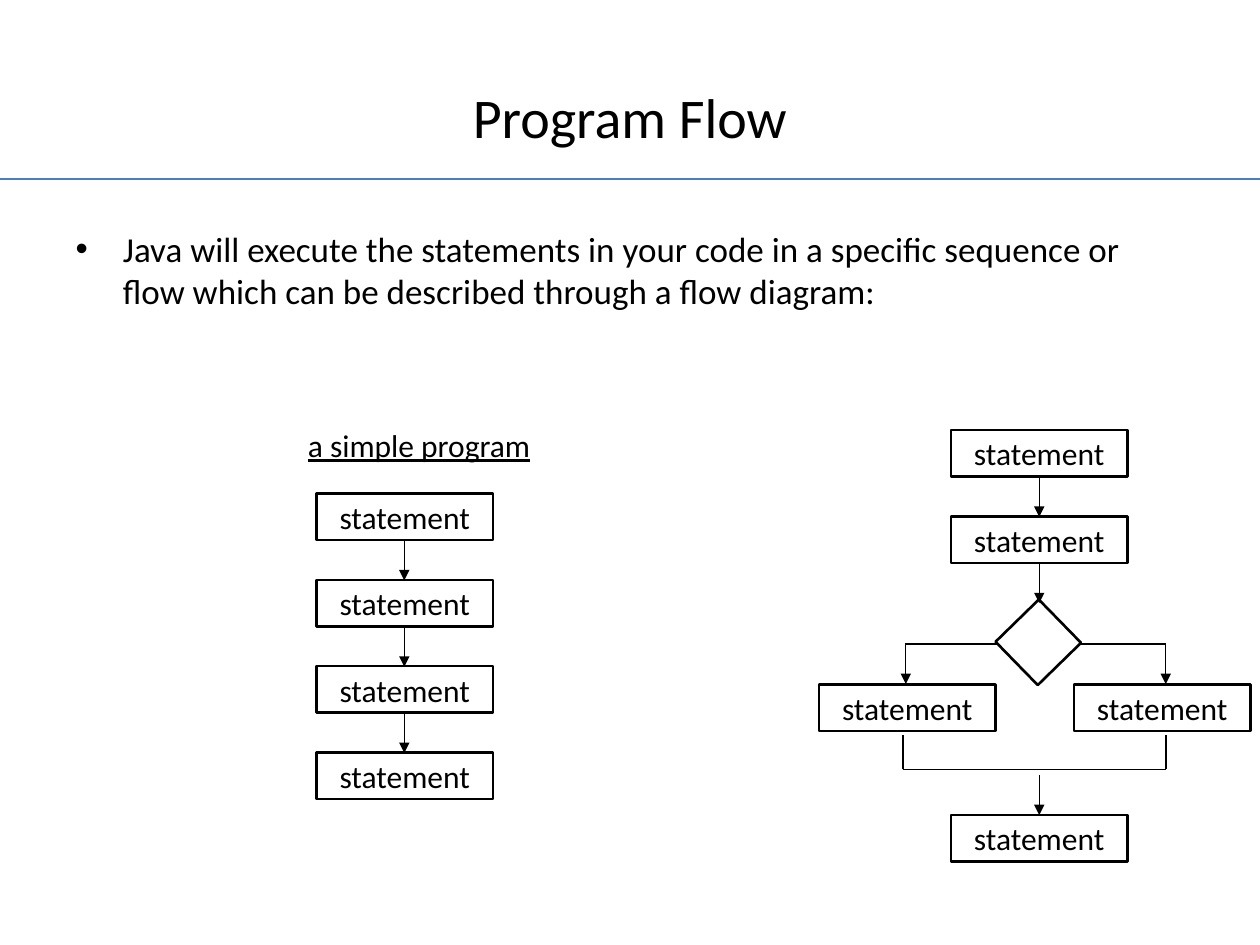
"""Build the Program Flow slide with a linear and a branching flow diagram."""
from typing import NamedTuple

from pptx import Presentation, util as u
from pptx.dml import color
from pptx.enum import shapes, text
from pptx.oxml import ns, xmlchemy

COLORS = {"ink": "000000", "paper": "FFFFFF", "rule": "4B7EBC"}
FONT = "Calibri"
BOX_WIDTH, BOX_HEIGHT = 3.56, 0.94
ARROW_LENGTH = 0.81
STEP = 1.74


class Box(NamedTuple):
    left: float
    top: float


class Line(NamedTuple):
    x1: float
    y1: float
    x2: float
    y2: float
    width: float = 1
    color: str = "ink"
    arrow: bool = False


def down_arrow(x: float, y: float) -> Line:
    return Line(x, y, x, y + ARROW_LENGTH, 0.75, arrow=True)


def rgb(name: str) -> color.RGBColor:
    return color.RGBColor.from_string(COLORS[name])


def place(shape, left: float, top: float, width: float, height: float) -> None:
    shape.left, shape.top = u.Cm(left), u.Cm(top)
    shape.width, shape.height = u.Cm(width), u.Cm(height)


def add_text(paragraph, words: str, size: float, underline: bool = False) -> None:
    run = paragraph.add_run()
    run.text = words
    run.font.name, run.font.size = FONT, u.Pt(size)
    run.font.color.rgb = rgb("ink")
    if underline:
        run.font.underline = True


def draw_line(slide, line: Line) -> None:
    connector = slide.shapes.add_connector(
        shapes.MSO_CONNECTOR.STRAIGHT,
        u.Cm(line.x1), u.Cm(line.y1), u.Cm(line.x2), u.Cm(line.y2))
    connector.line.width = u.Pt(line.width)
    connector.line.color.rgb = rgb(line.color)
    properties = connector._element.spPr
    if line.arrow:
        head = xmlchemy.OxmlElement("a:tailEnd")
        head.set("type", "triangle")
        properties.find(ns.qn("a:ln")).append(head)
    properties.append(xmlchemy.OxmlElement("a:effectLst"))


def draw_shape(slide, left: float, top: float, width: float, height: float):
    shape = slide.shapes.add_shape(
        shapes.MSO_SHAPE.RECTANGLE,
        u.Cm(left), u.Cm(top), u.Cm(width), u.Cm(height))
    shape.shadow.inherit = False
    shape.line.color.rgb = rgb("ink")
    shape.line.width = u.Pt(1.5)
    return shape


def draw_box(slide, box: Box) -> None:
    shape = draw_shape(slide, box.left, box.top, BOX_WIDTH, BOX_HEIGHT)
    shape.fill.background()
    frame = shape.text_frame
    frame.word_wrap = False
    frame.vertical_anchor = text.MSO_ANCHOR.MIDDLE
    frame.paragraphs[0].alignment = text.PP_ALIGN.CENTER
    add_text(frame.paragraphs[0], "statement", 18)


def draw_decision(slide) -> None:
    diamond = draw_shape(slide, 20.32, 12.34, 1.22, 1.22)
    diamond.rotation = 45.7
    diamond.fill.solid()
    diamond.fill.fore_color.rgb = rgb("paper")


def draw_label(slide) -> None:
    label = slide.shapes.add_textbox(u.Cm(4.83), u.Cm(8.46), u.Cm(7.24), u.Cm(1.02))
    label.text_frame.word_wrap = True
    paragraph = label.text_frame.paragraphs[0]
    paragraph.alignment = text.PP_ALIGN.CENTER
    add_text(paragraph, "a simple program", 18, underline=True)


def main() -> None:
    presentation = Presentation()
    presentation.slide_width, presentation.slide_height = u.Cm(25.4), u.Cm(19.05)
    slide = presentation.slides.add_slide(presentation.slide_layouts[1])
    draw_line(slide, Line(0, 3.61, 25.4, 3.61, 0.75, "rule"))

    title, body = slide.shapes.title, slide.placeholders[1]
    place(title, 1.27, 0.76, 22.86, 3.18)
    add_text(title.text_frame.paragraphs[0], "Program Flow", 32)
    place(body, 1.27, 4.45, 22.86, 12.57)
    add_text(body.text_frame.paragraphs[0],
             "Java will execute the statements in your code in a specific sequence "
             "or flow which can be described through a flow diagram:", 20)

    simple = [Box(6.38, 9.95 + STEP * row) for row in range(4)]
    opening = [Box(19.17, 8.67 + STEP * row) for row in range(2)]
    branches = [Box(16.51, 13.8), Box(21.65, 13.8)]
    closing = Box(19.17, 16.43)

    branch_lines = [
        Line(18.24, 12.98, 23.5, 12.98),
        Line(18.21, 15.51, 23.5, 15.51),
        Line(18.21, 15.51, 18.21, 14.81),
        Line(23.5, 15.51, 23.5, 14.81),
    ]
    arrows = [down_arrow(8.15, box.top + BOX_HEIGHT) for box in simple[:-1]]
    arrows += [down_arrow(20.95, box.top + BOX_HEIGHT) for box in opening]
    arrows += [down_arrow(x, 12.98) for x in (18.26, 23.5)]
    arrows.append(down_arrow(20.95, closing.top - ARROW_LENGTH))

    for line in branch_lines:
        draw_line(slide, line)
    draw_decision(slide)
    draw_label(slide)
    for box in simple + opening + branches + [closing]:
        draw_box(slide, box)
    for arrow in arrows:
        draw_line(slide, arrow)

    presentation.save("out.pptx")


main()
